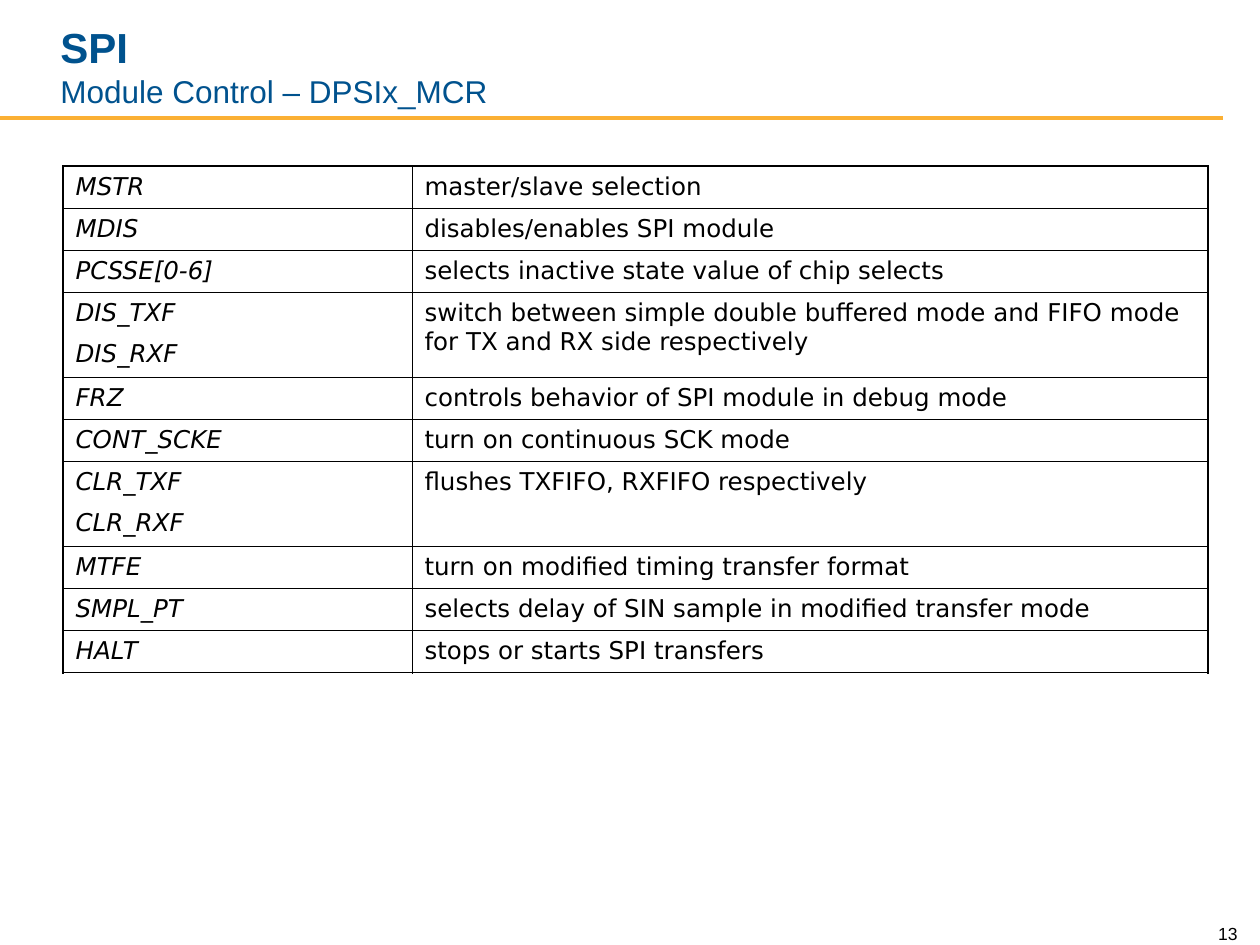
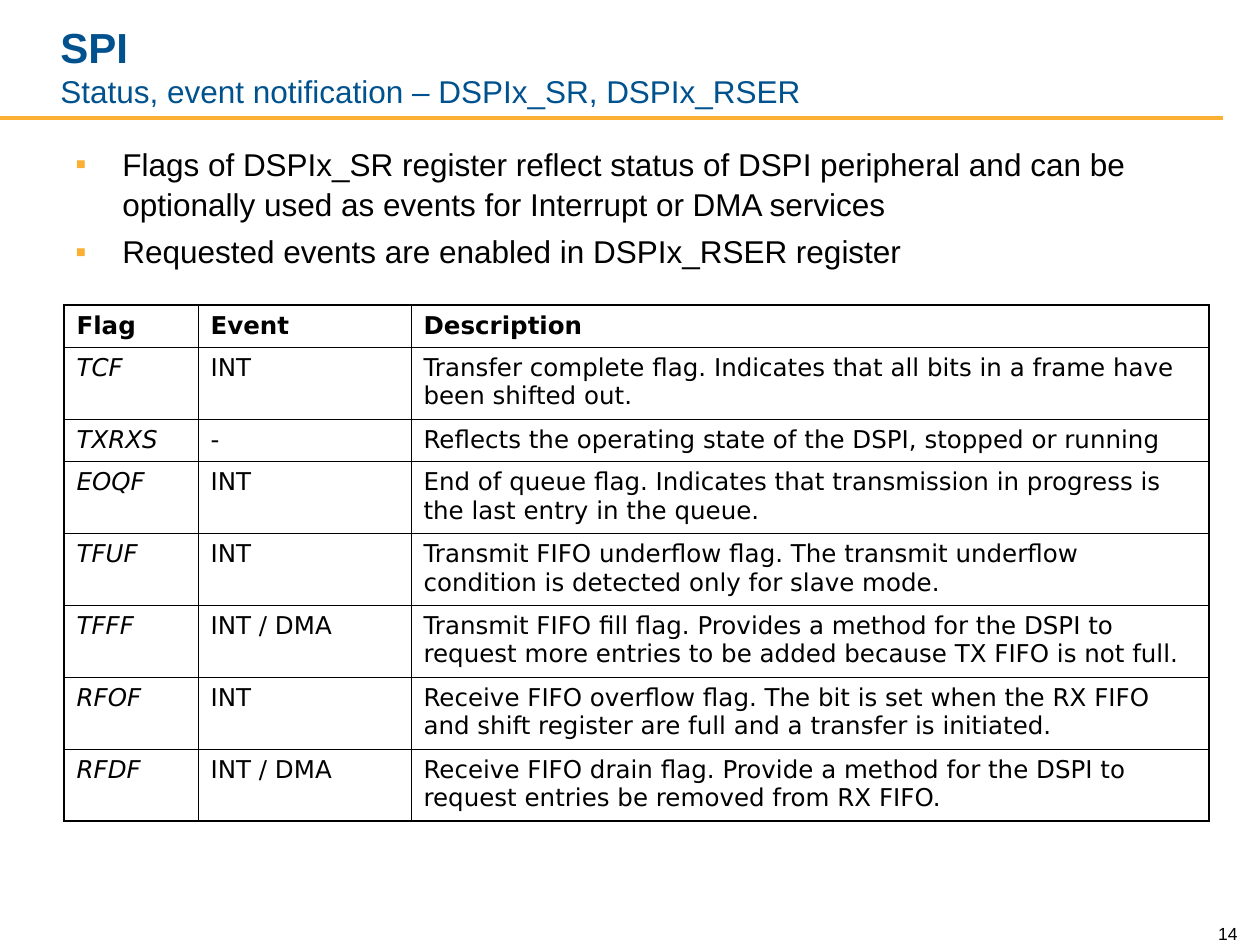
from lxml import etree
from pptx import Presentation
from pptx import util as u
from pptx.dml.color import RGBColor
from pptx.enum import shapes, text
from pptx.oxml.ns import qn

EMU_PER_PX = 914400 / 126
BLUE, AMBER, BLACK = "00528E", "FBB034", "000000"
HEADING_FONT, TABLE_FONT = "Arial", "DejaVu Sans"
OUTER_LINE, INNER_LINE = 1.08, 0.45
TABLE_WIDTH = 1145

CONTROL_FIELDS = [
    ("MSTR", "master/slave selection"),
    ("MDIS", "disables/enables SPI module"),
    ("PCSSE[0-6]", "selects inactive state value of chip selects"),
    ("DIS_TXF\nDIS_RXF", "switch between simple double buffered mode and FIFO mode "
                         "for TX and RX side respectively"),
    ("FRZ", "controls behavior of SPI module in debug mode"),
    ("CONT_SCKE", "turn on continuous SCK mode"),
    ("CLR_TXF\nCLR_RXF", "flushes TXFIFO, RXFIFO respectively"),
    ("MTFE", "turn on modified timing transfer format"),
    ("SMPL_PT", "selects delay of SIN sample in modified transfer mode"),
    ("HALT", "stops or starts SPI transfers"),
]
STATUS_POINTS = [
    "Flags of DSPIx_SR register reflect status of DSPI peripheral and can be "
    "optionally used as events for Interrupt or DMA services",
    "Requested events are enabled in DSPIx_RSER register",
]
STATUS_FLAGS = [
    ("Flag", "Event", "Description"),
    ("TCF", "INT", "Transfer complete flag. Indicates that all bits in a frame have "
                   "been shifted out."),
    ("TXRXS", "-", "Reflects the operating state of the DSPI, stopped or running"),
    ("EOQF", "INT", "End of queue flag. Indicates that transmission in progress is "
                    "the last entry in the queue."),
    ("TFUF", "INT", "Transmit FIFO underflow flag. The transmit underflow "
                    "condition is detected only for slave mode."),
    ("TFFF", "INT / DMA", "Transmit FIFO fill flag. Provides a method for the DSPI to "
                          "request more entries to be added because TX FIFO is not full."),
    ("RFOF", "INT", "Receive FIFO overflow flag. The bit is set when the RX FIFO "
                    "and shift register are full and a transfer is initiated."),
    ("RFDF", "INT / DMA", "Receive FIFO drain flag. Provide a method for the DSPI to "
                          "request entries be removed from RX FIFO."),
]


def px(length):
    return u.Emu(round(length * EMU_PER_PX))


def color(value):
    return RGBColor.from_string(value)


def style(font, size, fill=BLACK, name=HEADING_FONT, bold=False, italic=False):
    font.size, font.name, font.bold, font.italic = u.Pt(size), name, bold, italic
    font.color.rgb = color(fill)


def add_text(page, box, content, anchor=text.MSO_ANCHOR.TOP):
    frame = page.shapes.add_textbox(*map(px, box)).text_frame
    frame.word_wrap = True
    frame.vertical_anchor = anchor
    frame.text = content
    return frame


def add_title(page, box, subtitle):
    frame = add_text(page, box, f"SPI\v{subtitle}", text.MSO_ANCHOR.BOTTOM)
    heading, detail = frame.paragraphs[0].runs
    style(heading.font, 24, BLUE, bold=True)
    style(detail.font, 18, BLUE)


def add_rule(page, y, width):
    rule = page.shapes.add_connector(shapes.MSO_CONNECTOR.STRAIGHT, 0, px(y), px(width), px(y))
    rule.line.color.rgb = color(AMBER)
    rule.line.width = u.Pt(2.25)
    etree.SubElement(rule._element.spPr, qn("a:effectLst"))


def add_page_number(page, box, number):
    para = add_text(page, box, str(number), text.MSO_ANCHOR.BOTTOM).paragraphs[0]
    para.alignment = text.PP_ALIGN.RIGHT
    style(para.runs[0].font, 10)


def add_bullets(page, box, points):
    frame = add_text(page, box, "\n".join(points))
    for index, para in enumerate(frame.paragraphs):
        properties = para._p.get_or_add_pPr()
        properties.set("marL", str(px(47)))
        properties.set("indent", str(-px(47)))
        bullet_color = etree.SubElement(properties, qn("a:buClr"))
        etree.SubElement(bullet_color, qn("a:srgbClr"), val=AMBER)
        etree.SubElement(properties, qn("a:buFont"), typeface=HEADING_FONT)
        etree.SubElement(properties, qn("a:buChar"), char="▪")
        para.line_spacing = 1.05
        if index:
            para.space_before = u.Pt(4.5)
        style(para.runs[0].font, 18)


def add_border(cell, side, width):
    line = etree.SubElement(cell._tc.get_or_add_tcPr(), qn(f"a:ln{side}"), w=str(u.Pt(width)))
    fill = etree.SubElement(line, qn("a:solidFill"))
    etree.SubElement(fill, qn("a:srgbClr"), val=BLACK)


def fill_cell(cell, content, bold, italic):
    cell.text = content
    for index, para in enumerate(cell.text_frame.paragraphs):
        if index:
            para.space_before = u.Pt(7)
        style(para.runs[0].font, 14, name=TABLE_FONT, bold=bold, italic=italic)


def add_register_table(page, left, top, widths, heights, rows, header=False):
    """Draw a ruled table with an italic first column and, if asked, a bold header row."""
    frame = page.shapes.add_table(len(rows), len(widths), px(left), px(top),
                                  px(sum(widths)), px(sum(heights)))
    table = frame.table
    table.first_row = table.horz_banding = False
    for column, width in zip(table.columns, widths):
        column.width = px(width)
    last_row, last_column = len(rows) - 1, len(widths) - 1
    for r, (values, height) in enumerate(zip(rows, heights)):
        table.rows[r].height = px(height)
        is_header = header and r == 0
        for c, value in enumerate(values):
            cell = table.cell(r, c)
            fill_cell(cell, value, is_header, c == 0 and not is_header)
            outer_sides = {"L": c == 0, "R": c == last_column, "T": r == 0, "B": r == last_row}
            for side, is_outer in outer_sides.items():
                add_border(cell, side, OUTER_LINE if is_outer else INNER_LINE)
            cell.fill.background()


def add_page(deck, subtitle, number):
    page = deck.slides.add_slide(deck.slide_layouts[6])
    add_rule(page, 118, 1223)
    add_page_number(page, (1187, 912, 63, 38), number)
    add_title(page, (48, 21, 1029, 95), subtitle)
    return page


def add_control_page(deck):
    page = add_page(deck, "Module Control – DPSIx_MCR", 13)
    lines = [name.count("\n") + 1 for name, _ in CONTROL_FIELDS]
    heights = [507 * count / sum(lines) for count in lines]
    add_register_table(page, 63, 166, [349, TABLE_WIDTH - 349], heights, CONTROL_FIELDS)


def add_status_page(deck):
    page = add_page(deck, "Status, event notification – DSPIx_SR, DSPIx_RSER", 14)
    add_bullets(page, (63, 137, TABLE_WIDTH, 152), STATUS_POINTS)
    heights = [72 if len(row[-1]) > 60 else 42 for row in STATUS_FLAGS]
    add_register_table(page, 64, 305, [134, 213, TABLE_WIDTH - 347], heights,
                       STATUS_FLAGS, header=True)


def main():
    deck = Presentation()
    deck.slide_width, deck.slide_height = px(1260), px(945)
    add_control_page(deck)
    add_status_page(deck)
    deck.save("out.pptx")


if __name__ == "__main__":
    main()
